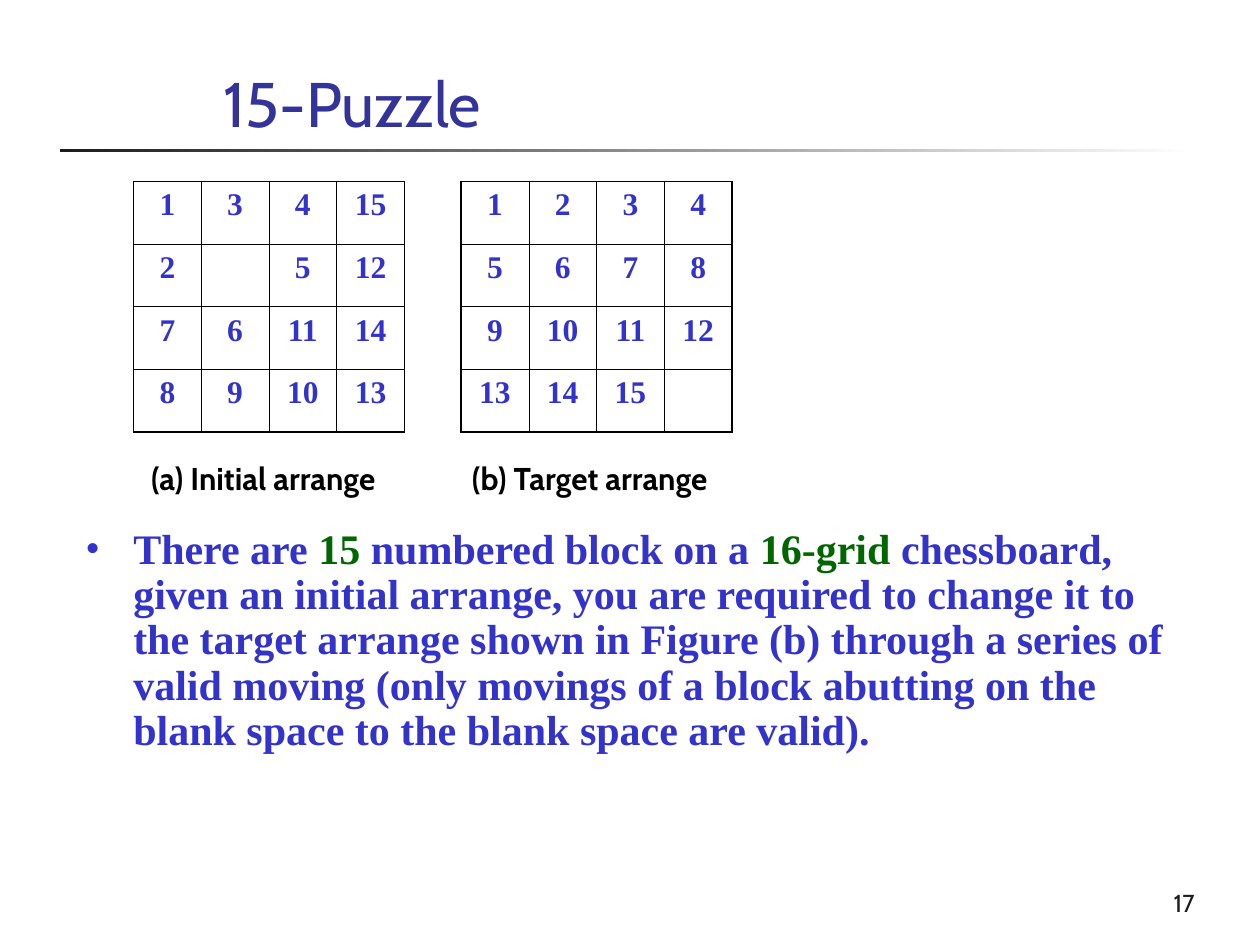
from pptx import Presentation
from pptx.dml.color import RGBColor
from pptx.enum.shapes import MSO_SHAPE
from pptx.enum.text import MSO_ANCHOR, PP_ALIGN
from pptx.oxml import parse_xml
from pptx.oxml.ns import nsdecls
from pptx.util import Inches, Pt

# Content
TITLE = "15-Puzzle"
NUMBER = "17"
BOARDS = [
    ("(a) Initial arrange", 1.06, (0.89, 2.4), [
        (1, 3, 4, 15),
        (2, "", 5, 12),
        (7, 6, 11, 14),
        (8, 9, 10, 13)]),
    ("(b) Target arrange", 3.66, (3.44, 2.48), [
        (1, 2, 3, 4),
        (5, 6, 7, 8),
        (9, 10, 11, 12),
        (13, 14, 15, "")]),
]
BLUE, GREEN, DARK = "3333CC", "006600", "1C1C1C"
RULES = [
    ("There are ", BLUE),
    ("15", GREEN),
    (" numbered block on a ", BLUE),
    ("16-grid ", GREEN),
    ("chessboard, given an initial arrange, you are required to change it to "
     "the target arrange shown in Figure (b) through a series of valid moving "
     "(only movings of a block abutting on the blank space to the blank space "
     "are valid).", BLUE),
]
SERIF, SANS = "Times New Roman", "Cabin"

# Layout in inches, line widths in points
TOP, SIZE = 1.44, (2.15, 1.99)
OUTER, INNER = 1.08, 0.45


def rgb(code):
    return RGBColor.from_string(code)


def box(*at):
    return [Inches(v) for v in at]


def write(para, text, face, size, color, bold=False):
    run = para.add_run()
    run.text = text
    font = run.font
    font.name, font.size, font.bold = face, Pt(size), bold
    font.color.rgb = rgb(color)


def add_text(slide, at, align, wrap=True):
    frame = slide.shapes.add_textbox(*box(*at)).text_frame
    frame.word_wrap = wrap
    para = frame.paragraphs[0]
    para.alignment = align
    return frame, para


def add_edge(cell, side, width):
    cell._tc.get_or_add_tcPr().append(parse_xml(
        f'<a:ln{side} {nsdecls("a")} w="{Pt(width)}"><a:solidFill>'
        f'<a:srgbClr val="000000"/></a:solidFill></a:ln{side}>'))


def add_board(slide, left, grid):
    rows, cols = len(grid), len(grid[0])
    table = slide.shapes.add_table(
        rows, cols, *box(left, TOP, *SIZE)).table
    table.first_row = table.horz_banding = False
    for r, row in enumerate(grid):
        for c, value in enumerate(row):
            cell = table.cell(r, c)
            rims = {"L": c == 0, "R": c == cols - 1,
                    "T": r == 0, "B": r == rows - 1}
            for side, rim in rims.items():
                add_edge(cell, side, OUTER if rim else INNER)
            cell.fill.background()
            para = cell.text_frame.paragraphs[0]
            para.alignment = PP_ALIGN.CENTER
            if value:
                write(para, str(value), SERIF, 18, BLUE, True)


def main():
    deck = Presentation()
    deck.slide_width, deck.slide_height = box(10, 7.5)
    slide = deck.slides.add_slide(deck.slide_layouts[5])

    # Title and fading rule
    title = slide.shapes.title
    title.left, title.top, title.width, title.height = box(
        1.67, 0.17, 7.86, 0.99)
    title.text_frame.vertical_anchor = MSO_ANCHOR.BOTTOM
    para = title.text_frame.paragraphs[0]
    para.alignment = PP_ALIGN.LEFT
    write(para, TITLE, SANS, 36, "333399")

    rule = slide.shapes.add_shape(
        MSO_SHAPE.RECTANGLE, *box(0.48, 1.18, 9, 0.03))
    rule.shadow.inherit = False
    rule.line.fill.background()
    rule.fill.gradient()
    rule.fill.gradient_angle = 180
    for stop, color in zip(rule.fill.gradient_stops, ("FFFFFF", DARK)):
        stop.color.rgb = rgb(color)

    # Boards with captions
    for label, left, (start, width), grid in BOARDS:
        add_board(slide, left, grid)
        _, para = add_text(
            slide, (start, 3.59, width, 0.4), PP_ALIGN.CENTER, False)
        write(para, label, SANS, 18, "000000", True)

    # Bulleted rules
    _, para = add_text(slide, (0.58, 4.14, 9, 2.02), PP_ALIGN.LEFT)
    props = para._p.get_or_add_pPr()
    props.set("marL", str(Inches(0.38)))
    props.set("indent", str(Inches(-0.38)))
    for tag in (f'<a:buClr {nsdecls("a")}><a:srgbClr val="{BLUE}"/></a:buClr>',
                f'<a:buFont {nsdecls("a")} typeface="{SERIF}"/>',
                f'<a:buChar {nsdecls("a")} char="•"/>'):
        props.append(parse_xml(tag))
    para.line_spacing = 0.9
    for text, color in RULES:
        write(para, text, SERIF, 24, color, True)

    # Slide number
    frame, para = add_text(slide, (7.5, 6.83, 2.08, 0.5), PP_ALIGN.RIGHT)
    frame.vertical_anchor = MSO_ANCHOR.BOTTOM
    write(para, NUMBER, SANS, 14, DARK)

    deck.save("out.pptx")


if __name__ == "__main__":
    main()
